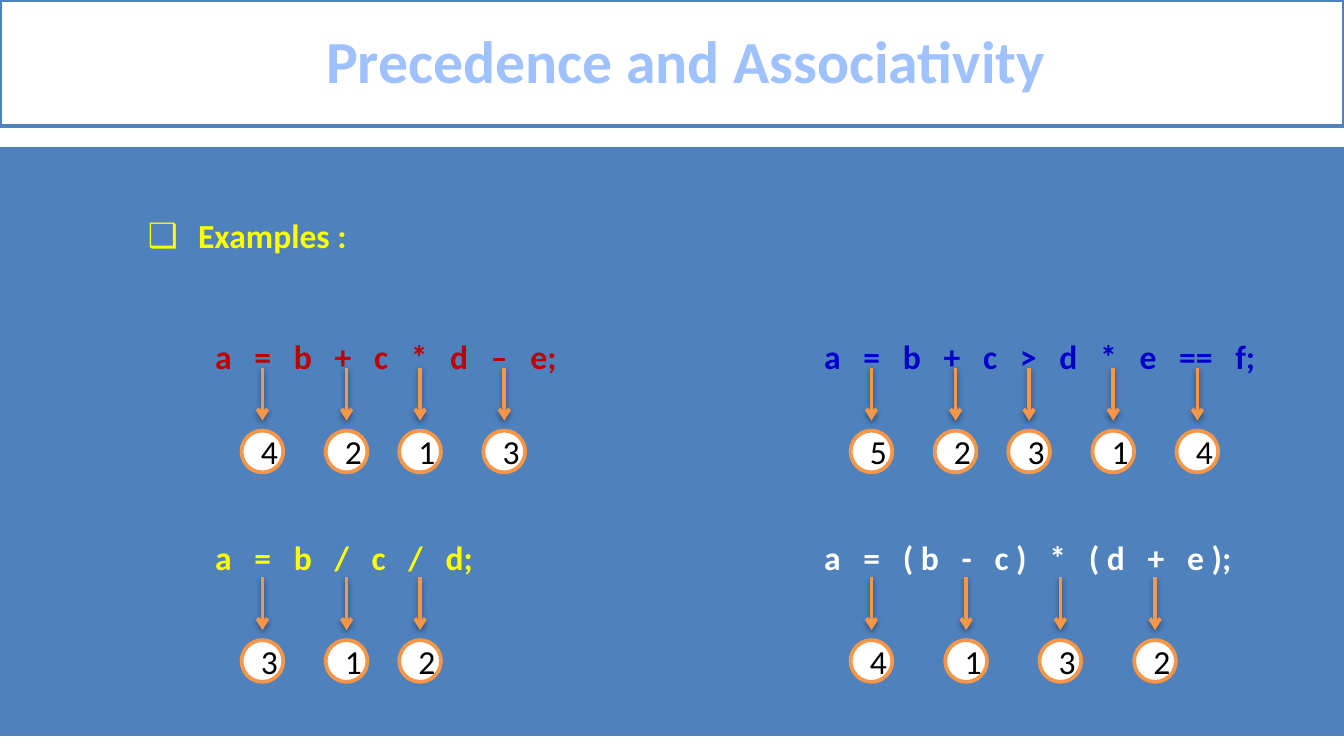
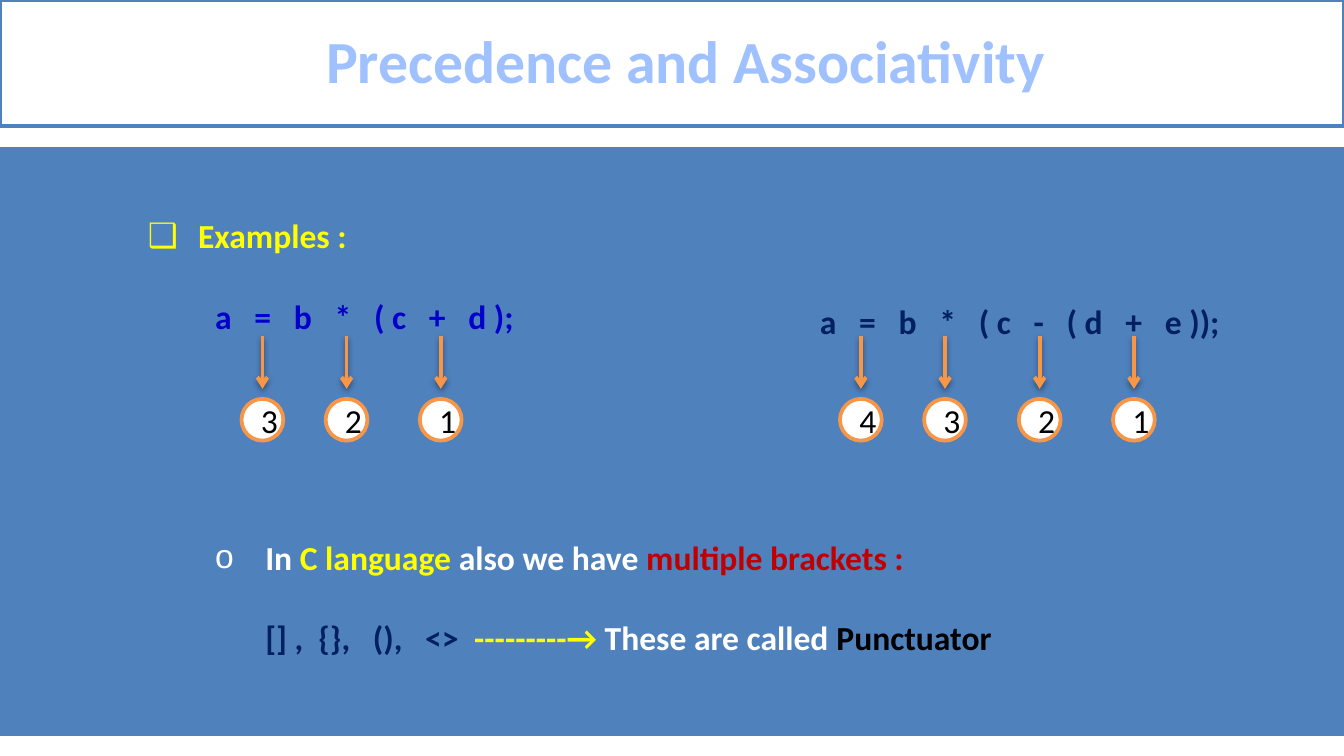
"""Build two slides on operator precedence and associativity in C."""
import pptx
import pptx.dml.color
import pptx.enum.shapes
import pptx.enum.text
import pptx.oxml
import pptx.oxml.ns
import pptx.util
from lxml import etree

Cm, Pt = pptx.util.Cm, pptx.util.Pt
SHAPES = pptx.enum.shapes.MSO_SHAPE
ALIGN = pptx.enum.text.PP_ALIGN
MIDDLE = pptx.enum.text.MSO_ANCHOR.MIDDLE

WIDTH, HEIGHT = 25.4, 14.29
FONT = "Calibri"
WHITE, BLACK, YELLOW = "FFFFFF", "000000", "FFFF00"
RED, BLUE, NAVY = "C00000", "0000CC", "002060"
BAND, ORANGE = "4F81BD", "F79646"
TITLE = "Precedence and Associativity"
TITLE_STOPS = [(0, "BFD3F9"), (9, "A0C1FF"), (50, "003D85"), (79, "A0C1FF"), (100, "BFD3F9")]
TITLE_OUTLINE = "467AB8"

BLANK_LINE = 21.5
ARROW_LENGTH, CIRCLE_DROP, CIRCLE_SIZE = 1.0, 1.19, 0.79

# style: left margin, first-line indent, bullet
STYLES = {
    "heading": (3.49, -0.95, "❑"),
    "expression": (4.76, -0.95, None),
    "point": (4.76, -0.95, "o"),
    "detail": (4.76, 0, None),
    "aside": (2.54, 0, None),
}
EXAMPLES = ("heading", 0, [("Examples :", YELLOW)])

SLIDES = [
    {
        "columns": [
            {"box": (0, 3.18, 25.4, 7.95), "inset": 0.89, "lines": [
                EXAMPLES,
                ("expression", 2, [("a   =   b   +   c   *   d   –   e;", RED)]),
                ("expression", 4, [("a   =   b   /   c   /   d;", YELLOW)]),
            ]},
            {"box": (11.51, 3.94, 13.89, 9.5), "inset": 2.41, "lines": [
                ("expression", 0, [("a   =   b   +   c   >   d   *   e   ==   f;", BLUE)]),
                ("expression", 4, [("a   =   ( b   -   c )   *   ( d   +   e );", WHITE)]),
            ]},
        ],
        "orders": [
            (6.95, [(4.96, 4), (6.55, 2), (7.94, 1), (9.53, 3)]),
            (6.95, [(16.47, 5), (18.06, 2), (19.45, 3), (21.04, 1), (22.63, 4)]),
            (10.91, [(4.96, 3), (6.55, 1), (7.94, 2)]),
            (10.91, [(16.47, 4), (18.26, 1), (20.04, 3), (21.83, 2)]),
        ],
    },
    {
        "columns": [
            {"box": (0, 3.18, 22.63, 9.5), "inset": 0.89, "lines": [
                EXAMPLES,
                ("expression", 1, [("a   =   b   *   ( c   +   d );", BLUE)]),
                ("point", 5, [("In ", WHITE), ("C language ", YELLOW),
                              ("also we have ", WHITE), ("multiple brackets :", RED)]),
                ("detail", 1, [("[] ,  {},   (),   <>  ", NAVY), ("---------→", YELLOW),
                               (" These are called ", WHITE), ("Punctuator", BLACK)]),
            ]},
            {"box": (12.7, 5.56, 12.7, 1.02), "inset": 0.13, "lines": [
                ("aside", 0, [("a   =   b   *   ( c   -   ( d   +   e ));", NAVY)]),
            ]},
        ],
        "orders": [
            (6.35, [(4.96, 3), (6.55, 2), (8.33, 1)]),
            (6.35, [(16.27, 4), (17.86, 3), (19.65, 2), (21.43, 1)]),
        ],
    },
]


def rgb(colour):
    """Turn a hex string into a colour."""
    return pptx.dml.color.RGBColor.from_string(colour)


def xml(markup):
    """Parse one DrawingML element."""
    head, rest = markup.split(" ", 1)
    return pptx.oxml.parse_xml(f"{head} {pptx.oxml.ns.nsdecls('a')} {rest}")


def place(shape, left, top, width, height):
    """Move and size a shape, in centimetres."""
    shape.left, shape.top, shape.width, shape.height = map(Cm, (left, top, width, height))


def paint(shape, fill, line=None):
    """Fill a shape and draw or drop its outline."""
    shape.fill.solid()
    shape.fill.fore_color.rgb = rgb(fill)
    if line:
        shape.line.color.rgb = rgb(line)
        shape.line.width = Pt(2)
    else:
        shape.line.fill.background()


def style_run(run, size, colour=None, bold=False):
    """Set the font of a run."""
    run.font.name, run.font.size, run.font.bold = FONT, Pt(size), bold
    if colour:
        run.font.color.rgb = rgb(colour)


def indent(paragraph, margin, first=0, bullet=None):
    """Set the indents and bullet of a paragraph."""
    properties = paragraph._p.get_or_add_pPr()
    properties.set("marL", str(Cm(margin)))
    properties.set("indent", str(Cm(first)))
    properties.append(xml(f'<a:buChar char="{bullet}"/>' if bullet else "<a:buNone />"))


def add_band(slide):
    """Lay the blue band behind everything else."""
    band = slide.shapes.add_shape(SHAPES.RECTANGLE, Cm(0), Cm(2.78), Cm(WIDTH), Cm(11.13))
    band.shadow.inherit = False
    paint(band, BAND)
    slide.shapes._spTree.insert(2, band._element)


def fill_title(title):
    """Write the framed title with its gradient lettering."""
    place(title, 0, 0, WIDTH, 2.38)
    paint(title, WHITE, BAND)
    title.text_frame.text = TITLE
    title.text_frame.vertical_anchor = MIDDLE
    paragraph = title.text_frame.paragraphs[0]
    indent(paragraph, 0.53)
    paragraph.alignment, paragraph.line_spacing = ALIGN.CENTER, 0.96
    run = paragraph.runs[0]
    style_run(run, 32, bold=True)
    stops = "".join(f'<a:gs pos="{at * 1000}"><a:srgbClr val="{colour}"/></a:gs>'
                    for at, colour in TITLE_STOPS)
    properties = run._r.get_or_add_rPr()
    properties.insert(0, xml(f'<a:ln w="{Pt(0.83)}"><a:solidFill>'
                             f'<a:srgbClr val="{TITLE_OUTLINE}"/></a:solidFill></a:ln>'))
    properties.insert(1, xml(f'<a:gradFill rotWithShape="1"><a:gsLst>{stops}</a:gsLst>'
                             '<a:lin ang="5400000" scaled="0"/></a:gradFill>'))


def fill_column(body, column):
    """Write one column of expressions and remarks."""
    place(body, *column["box"])
    frame = body.text_frame
    frame.word_wrap = True
    frame.auto_size = pptx.enum.text.MSO_AUTO_SIZE.NONE
    frame.margin_top = Cm(column["inset"])
    for number, (style, blanks, pieces) in enumerate(column["lines"]):
        paragraph = frame.add_paragraph() if number else frame.paragraphs[0]
        indent(paragraph, *STYLES[style])
        paragraph.space_before = Pt(blanks * BLANK_LINE)
        for text, colour in pieces:
            run = paragraph.add_run()
            run.text = text
            style_run(run, 18, colour, bold=True)


def add_step(slide, x, top, order):
    """Point from an operator to the circle with its order."""
    arrow = slide.shapes.add_connector(pptx.enum.shapes.MSO_CONNECTOR.STRAIGHT,
                                       Cm(x), Cm(top), Cm(x), Cm(top + ARROW_LENGTH))
    arrow.line.color.rgb = rgb(ORANGE)
    arrow.line.width = Pt(2)
    etree.SubElement(arrow.line._get_or_add_ln(), pptx.oxml.ns.qn("a:tailEnd"), type="arrow")
    arrow._element.spPr.append(xml(
        f'<a:effectLst ><a:outerShdw blurRad="{Pt(3.1)}" dist="{Pt(1.6)}" dir="5400000" '
        f'rotWithShape="0"><a:srgbClr val="{BLACK}"><a:alpha val="38000"/></a:srgbClr>'
        '</a:outerShdw></a:effectLst>'))

    circle = slide.shapes.add_shape(SHAPES.OVAL, Cm(x - CIRCLE_SIZE / 2), Cm(top + CIRCLE_DROP),
                                    Cm(CIRCLE_SIZE), Cm(CIRCLE_SIZE))
    circle.shadow.inherit = False
    paint(circle, WHITE, ORANGE)
    circle.text_frame.text = str(order)
    circle.text_frame.vertical_anchor = MIDDLE
    paragraph = circle.text_frame.paragraphs[0]
    paragraph.alignment = ALIGN.CENTER
    style_run(paragraph.runs[0], 18, BLACK)


def main():
    """Build and save the slides."""
    deck = pptx.Presentation()
    deck.slide_width, deck.slide_height = Cm(WIDTH), Cm(HEIGHT)
    two_content = deck.slide_layouts[3]
    for content in SLIDES:
        slide = deck.slides.add_slide(two_content)
        add_band(slide)
        fill_title(slide.shapes.title)
        for index, column in enumerate(content["columns"], 1):
            fill_column(slide.placeholders[index], column)
        for top, steps in content["orders"]:
            for x, order in steps:
                add_step(slide, x, top, order)
    deck.save("out.pptx")


if __name__ == "__main__":
    main()
